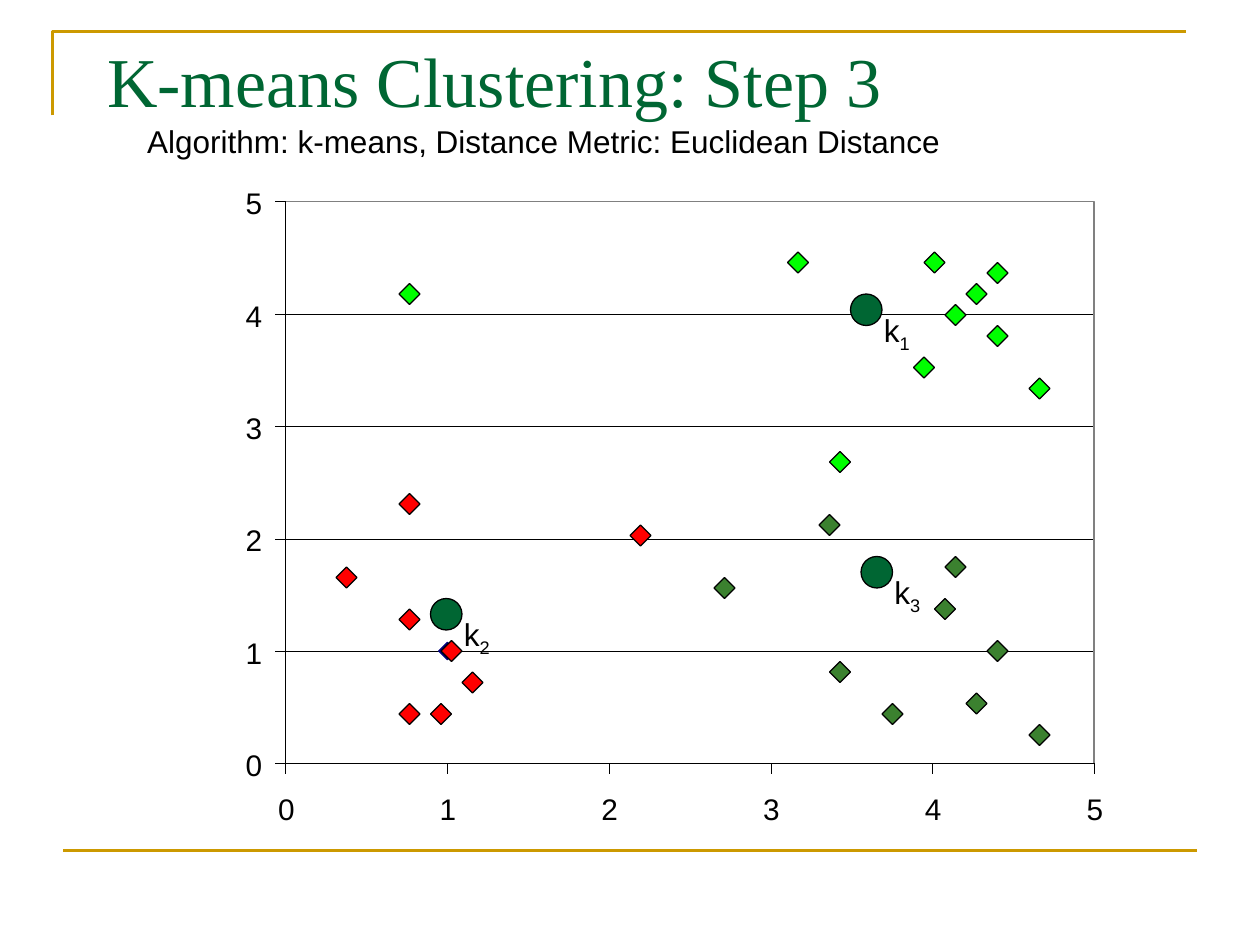
from dataclasses import dataclass

from lxml import etree
from pptx import Presentation
from pptx.dml.color import RGBColor
from pptx.enum.shapes import MSO_CONNECTOR as CONN, MSO_SHAPE as SHAPE
from pptx.enum.text import MSO_ANCHOR as ANCHOR, MSO_AUTO_SIZE as AUTO, PP_ALIGN as ALIGN
from pptx.oxml.ns import qn
from pptx.util import Pt


@dataclass(frozen=True)
class Theme:
    title: str = "006633"
    ink: str = "000000"
    paper: str = "FFFFFF"
    gold: str = "CC9900"
    frame: str = "808080"
    navy: str = "000080"
    red: str = "FF0000"
    lime: str = "00FF00"
    moss: str = "3B812F"
    serif: str = "Times New Roman"
    sans: str = "Arial"
    title_size: int = 40
    text_size: int = 18
    axis_size: int = 17


T = Theme()
LEFT, TOP, WIDTH, HEIGHT = 163.2, 115.2, 462, 321
RIGHT, BOTTOM = LEFT + WIDTH, TOP + HEIGHT
STEPS, TICK = 5, 6
MARK, CENTROID = 12, 18
HAIRLINE = 0.1

CLUSTERS = {
    T.red: [(252, 366), (264, 384), (246, 402), (228, 348), (228, 282),
            (228, 402), (192, 324), (360, 300)],
    T.lime: [(228, 162), (528, 144), (564, 150), (552, 162), (540, 174),
             (564, 186), (588, 216), (450, 144), (474, 258), (522, 204)],
    T.moss: [(474, 378), (504, 402), (534, 342), (468, 294), (408, 330),
             (564, 366), (552, 396), (540, 318), (588, 414)],
}
CENTROIDS = [("1", 486, 168), ("2", 246, 342), ("3", 492, 318)]


def rgb(value):
    return RGBColor.from_string(value)


def write(tf, text, size=T.text_size, font=T.sans, color=T.ink, sub="",
          align=ALIGN.LEFT, wrap=False, margins=(7.2, 3.6, 7.2, 3.6), auto=AUTO.NONE):
    tf.word_wrap = wrap
    tf.auto_size = auto
    tf.vertical_anchor = ANCHOR.TOP
    tf.margin_left, tf.margin_top, tf.margin_right, tf.margin_bottom = map(Pt, margins)
    p = tf.paragraphs[0]
    p.alignment = align
    for part in filter(None, (text, sub)):
        r = p.add_run()
        r.text = part
        r.font.size, r.font.name = Pt(size), font
        r.font.color.rgb = rgb(color)
    if sub:
        r._r.get_or_add_rPr().set("baseline", "-25000")


def add_text(shapes, text, x, y, w, h, **fmt):
    sp = shapes.add_textbox(Pt(x), Pt(y), Pt(w), Pt(h))
    write(sp.text_frame, text, **fmt)


def add_shape(shapes, kind, x, y, w, h, fill=None, line=None, weight=0.75):
    sp = shapes.add_shape(kind, Pt(x), Pt(y), Pt(w), Pt(h))
    paint(sp, fill, line, weight)


def paint(sp, fill, line, weight):
    sp.shadow.inherit = False
    if fill:
        sp.fill.solid()
        sp.fill.fore_color.rgb = rgb(fill)
    else:
        sp.fill.background()
    if line:
        sp.line.color.rgb = rgb(line)
        sp.line.width = Pt(weight)
    else:
        sp.line.fill.background()


def add_line(shapes, x1, y1, x2, y2, color=T.ink, weight=HAIRLINE):
    sp = shapes.add_connector(CONN.STRAIGHT, Pt(x1), Pt(y1), Pt(x2), Pt(y2))
    sp.line.color.rgb = rgb(color)
    sp.line.width = Pt(weight)
    etree.SubElement(sp._element.spPr, qn("a:effectLst"))


def add_heading(slide):
    shapes = slide.shapes
    bracket = shapes.build_freeform(Pt(30), Pt(66))
    bracket.add_line_segments([(Pt(30), Pt(18)), (Pt(678), Pt(18))], close=False)
    paint(bracket.convert_to_shape(), None, T.gold, 1.5)
    add_line(shapes, 36, 486, 684, 486, T.gold, 1.5)
    title = shapes.title
    title.left, title.top, title.width, title.height = map(Pt, (54, 18, 612, 42))
    write(title.text_frame, "K-means Clustering: Step 3", size=T.title_size,
          font=T.serif, color=T.title, wrap=True)
    add_text(shapes, "Algorithm: k-means, Distance Metric: Euclidean Distance",
             77, 66, 472, 29, auto=AUTO.SHAPE_TO_FIT_TEXT)


def add_axes(shapes):
    ticks = [(str(i), LEFT + i * WIDTH / STEPS, BOTTOM - i * HEIGHT / STEPS)
             for i in range(STEPS + 1)]
    add_shape(shapes, SHAPE.RECTANGLE, LEFT, TOP, WIDTH, HEIGHT, fill=T.paper)
    for _, _, y in ticks[1:]:
        add_line(shapes, LEFT, y, RIGHT, y)
    add_shape(shapes, SHAPE.RECTANGLE, LEFT, TOP, WIDTH, HEIGHT, line=T.frame, weight=0.63)
    add_line(shapes, LEFT, TOP, LEFT, BOTTOM)
    add_line(shapes, LEFT, BOTTOM, RIGHT, BOTTOM)
    fmt = dict(size=T.axis_size, margins=(0, 0, 0, 0), auto=AUTO.SHAPE_TO_FIT_TEXT)
    for label, x, y in ticks:
        add_line(shapes, LEFT - TICK, y, LEFT, y)
        add_line(shapes, x, BOTTOM + TICK, x, BOTTOM)
        add_text(shapes, label, 140.4, y - 9.5, 9.4, 21, **fmt)
        add_text(shapes, label, x - 4.3, 452, 9.4, 21, **fmt)


def add_centroid(shapes, number, x, y):
    group = shapes.add_group_shape().shapes
    add_shape(group, SHAPE.OVAL, x, y, CENTROID, CENTROID, fill=T.title, line=T.ink)
    add_text(group, "k", x + 12, y + 6, 42, 29, sub=number, wrap=True,
             auto=AUTO.SHAPE_TO_FIT_TEXT)


def add_points(shapes):
    for color, points in CLUSTERS.items():
        for x, y in points:
            add_shape(shapes, SHAPE.DIAMOND, x, y, MARK, MARK, fill=color, line=T.ink)


def main():
    prs = Presentation()
    prs.slide_width, prs.slide_height = Pt(720), Pt(540)
    slide = prs.slides.add_slide(prs.slide_layouts[5])
    add_heading(slide)
    add_axes(slide.shapes)
    add_shape(slide.shapes, SHAPE.DIAMOND, LEFT + WIDTH / STEPS - 5,
              BOTTOM - HEIGHT / STEPS - 5, 10, 10, fill=T.navy, line=T.navy, weight=0.63)
    for number, x, y in CENTROIDS:
        add_centroid(slide.shapes, number, x, y)
    add_points(slide.shapes)
    prs.save("out.pptx")


if __name__ == "__main__":
    main()
